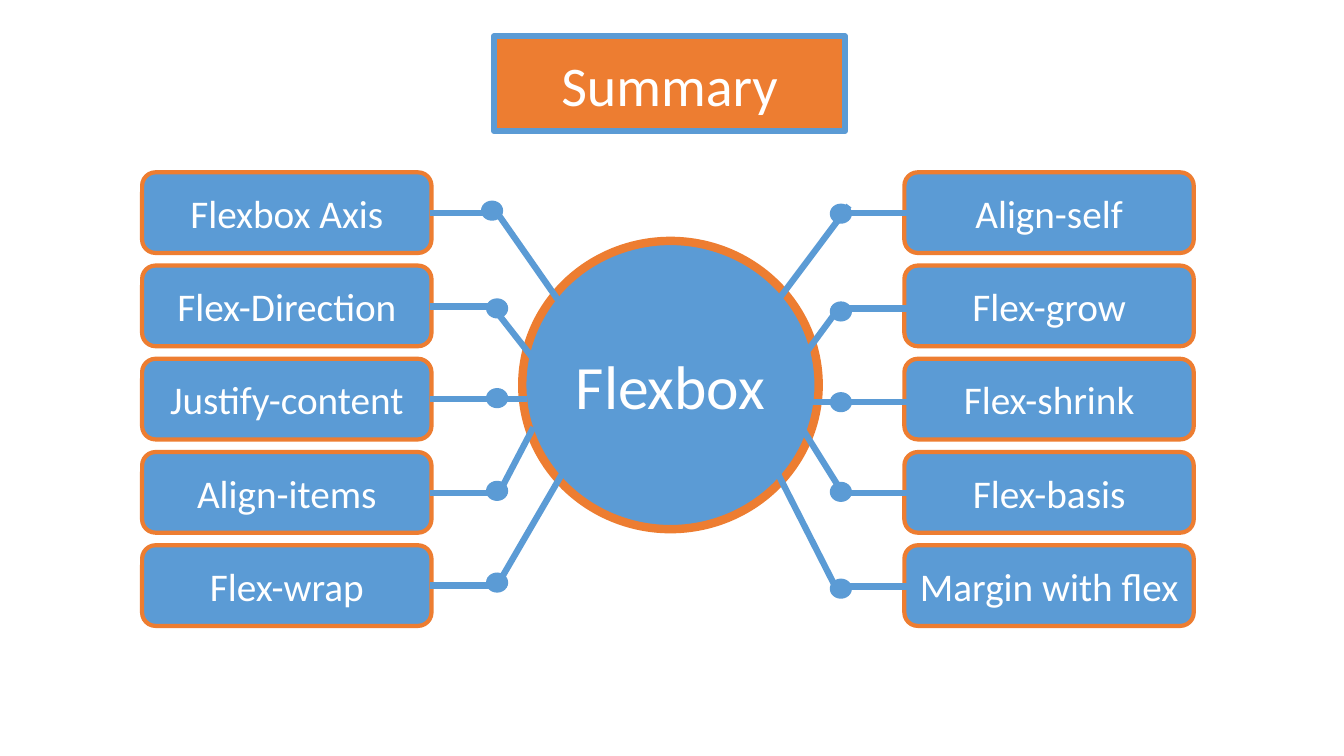
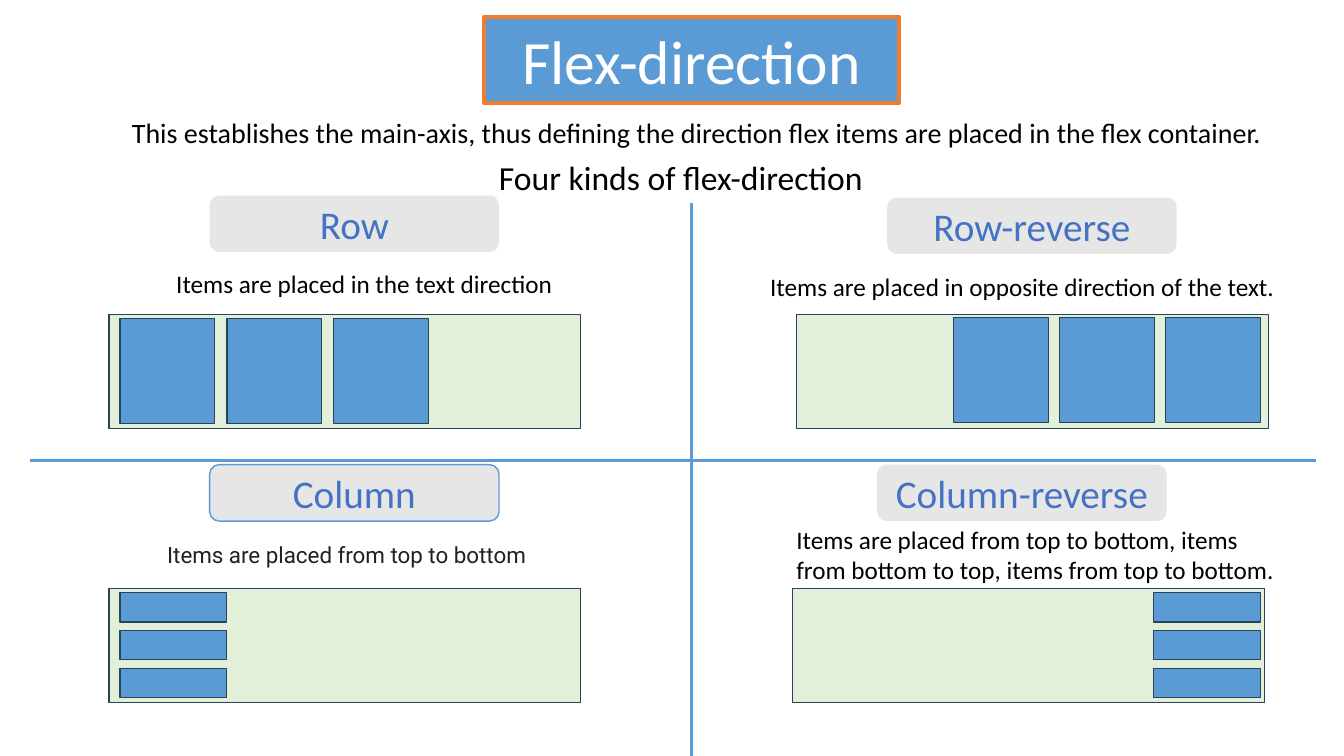
from pptx import Presentation
from pptx.dml.color import RGBColor
from pptx.enum.shapes import MSO_CONNECTOR, MSO_SHAPE
from pptx.enum.text import MSO_ANCHOR, MSO_AUTO_SIZE, PP_ALIGN
from pptx.oxml.xmlchemy import OxmlElement
from pptx.util import Inches, Pt

ROUNDED = MSO_SHAPE.FLOWCHART_ALTERNATE_PROCESS
OVAL = MSO_SHAPE.OVAL
RECTANGLE = MSO_SHAPE.RECTANGLE
STRAIGHT = MSO_CONNECTOR.STRAIGHT
CENTER, LEFT = PP_ALIGN.CENTER, PP_ALIGN.LEFT
MIDDLE, TOP = MSO_ANCHOR.MIDDLE, MSO_ANCHOR.TOP

BLUE, ORANGE, WHITE, BLACK = "5B9BD5", "ED7D31", "FFFFFF", "000000"
GRAY, INDIGO, GREEN, NAVY = "E7E6E6", "4472C4", "E2F0D9", "28445D"
color = RGBColor.from_string

TOPIC = {"fill": BLUE, "edge": ORANGE, "width": 3, "size": 28}
NOTE = {"ink": BLACK, "align": LEFT, "anchor": TOP}


def style(box, text="", fill=None, edge=None, width=1, size=18, ink=WHITE,
          font="Calibri", align=CENTER, anchor=MIDDLE):
    """Fill and outline a box and write its text; no colour means none drawn."""
    box.shadow.inherit = False
    for part, shade in ((box.fill, fill), (box.line.fill, edge)):
        if shade:
            part.solid()
            part.fore_color.rgb = color(shade)
        else:
            part.background()
    if edge:
        box.line.width = Pt(width)
    if text:
        frame = box.text_frame
        frame.text = text
        frame.word_wrap = True
        frame.auto_size = MSO_AUTO_SIZE.NONE
        frame.vertical_anchor = anchor
        para = frame.paragraphs[0]
        para.alignment = align
        for name, value in {"name": font, "size": Pt(size)}.items():
            setattr(para.font, name, value)
        para.font.color.rgb = color(ink)


def add_line(page, start, end, width):
    line = page.shapes.add_connector(STRAIGHT, *map(Inches, start + end))
    line.line.color.rgb = color(BLUE)
    line.line.width = Pt(width)
    line.element.spPr.append(OxmlElement("a:effectLst"))


deck = Presentation()
deck.slide_width, deck.slide_height = Inches(13.33), Inches(7.5)

# Both pages carry their title in a rounded frame
pages = []
for place, look in (
    ((4.9, 0.36, 3.48, 0.94),
     {"text": "Summary", "fill": ORANGE, "edge": BLUE, "width": 4.5, "size": 40}),
    ((4.8, 0.17, 4.12, 0.85),
     {"text": "Flex-direction", "fill": BLUE, "edge": ORANGE, "width": 3, "size": 44}),
):
    page = deck.slides.add_slide(deck.slide_layouts[5])
    title = page.shapes.title
    title.left, title.top, title.width, title.height = map(Inches, place)
    outline = OxmlElement("a:prstGeom")
    outline.set("prst", "flowChartAlternateProcess")
    outline.append(OxmlElement("a:avLst"))
    title.element.spPr.append(outline)
    style(title, **look)
    pages.append(page)
summary, direction = pages

# Summary: a hub with five topics on each side
hub = summary.shapes.add_shape(OVAL, *map(Inches, (5.18, 2.39, 2.94, 2.86)))
style(hub, "Flexbox", fill=BLUE, edge=ORANGE, width=6, size=44)

# Each topic: name, stub height, dot corner, spoke start, spoke end
left_topics = [
    ("Flexbox Axis", 2.11, (4.77, 1.99), (4.93, 2.11), (5.53, 2.97)),
    ("Flex-Direction", 3.04, (4.82, 2.96), (4.93, 3.1), (5.29, 3.56)),
    ("Justify-content", 3.96, (4.82, 3.85), (4.9, 3.96), (5.23, 3.96)),
    ("Align-items", 4.89, (4.82, 4.77), (4.95, 4.89), (5.29, 4.24)),
    ("Flex-wrap", 5.81, (4.82, 5.68), (4.93, 5.81), (5.57, 4.71)),
]
right_topics = [
    ("Align-self", 2.11, (8.23, 2.02), (8.42, 2.04), (7.73, 2.96)),
    ("Flex-grow", 3.06, (8.23, 2.99), (8.34, 3.03), (7.95, 3.56)),
    ("Flex-shrink", 3.99, (8.23, 3.89), (8.38, 3.99), (8.05, 3.99)),
    ("Flex-basis", 4.89, (8.23, 4.78), (8.3, 4.8), (7.95, 4.24)),
    ("Margin with flex", 5.82, (8.23, 5.74), (8.29, 5.83), (7.7, 4.67)),
]
for box_left, stub_start, stub_end, topics in (
    (1.41, 4.26, 4.9, left_topics),
    (8.97, 9.02, 8.38, right_topics),
):
    for row, (name, stub_y, dot_corner, spoke_start, spoke_end) in enumerate(topics):
        place = (box_left, 1.71 + row * 0.925, 2.87, 0.8)
        box = summary.shapes.add_shape(ROUNDED, *map(Inches, place))
        style(box, name, **TOPIC)
        add_line(summary, (stub_start, stub_y), (stub_end, stub_y), 4.5)
        add_line(summary, spoke_start, spoke_end, 4.5)
        dot = summary.shapes.add_shape(OVAL, *map(Inches, dot_corner + (0.22, 0.2)))
        style(dot, fill=BLUE)

# Flex-direction: four quadrants parted by a cross
add_line(direction, (0.3, 4.57), (13.05, 4.57), 2.25)
add_line(direction, (6.86, 2.01), (6.86, 7.5), 2.25)

notes = [
    ("This establishes the main-axis, thus defining the direction flex items "
     "are placed in the flex container.", (1.21, 1.1, 11.5, 0.44), {"size": 20}),
    ("Four kinds of flex-direction", (4.85, 1.51, 4.02, 0.5), {"size": 24}),
    ("Items are placed in the text direction", (1.65, 2.61, 4.37, 0.4), {}),
    ("Items are placed in opposite direction of the text.",
     (7.54, 2.64, 5.37, 0.4), {}),
    ("Items are placed from top to bottom", (1.56, 5.3, 4.06, 0.41),
     {"size": 16, "font": "Roboto", "ink": "202124", "anchor": MIDDLE}),
    ("Items are placed from top to bottom, items from bottom to top, "
     "items from top to bottom.", (7.8, 5.15, 5.1, 0.71), {}),
]
for text, place, changes in notes:
    box = direction.shapes.add_textbox(*map(Inches, place))
    style(box, text, **(NOTE | changes))

# Each quadrant: heading, its corner and edge, container corner,
# first item corner, step to the next item, item size
ROW_ITEM, COLUMN_ITEM = (0.94, 1.04), (1.06, 0.29)
quadrants = [
    ("Row", (2.08, 1.94), None, (1.08, 3.12), (1.19, 3.16), (1.06, 0), ROW_ITEM),
    ("Row-reverse", (8.8, 1.96), None, (7.9, 3.12), (9.46, 3.15), (1.05, 0), ROW_ITEM),
    ("Column", (2.08, 4.61), BLUE, (1.08, 5.84), (1.19, 5.88), (0, 0.375), COLUMN_ITEM),
    ("Column-reverse", (8.7, 4.61), None, (7.86, 5.84), (11.44, 5.88), (0, 0.375),
     COLUMN_ITEM),
]
for heading, corner, edge, container_corner, first, step, item_size in quadrants:
    label = direction.shapes.add_shape(ROUNDED, *map(Inches, corner + (2.87, 0.56)))
    style(label, heading, fill=GRAY, edge=edge, size=28, ink=INDIGO)
    container = direction.shapes.add_shape(
        RECTANGLE, *map(Inches, container_corner + (4.68, 1.13)))
    style(container, fill=GREEN, edge=NAVY)
    for index in range(3):
        item_corner = (first[0] + index * step[0], first[1] + index * step[1])
        item = direction.shapes.add_shape(
            RECTANGLE, *map(Inches, item_corner + item_size))
        style(item, fill=BLUE, edge=NAVY)

deck.save("out.pptx")
